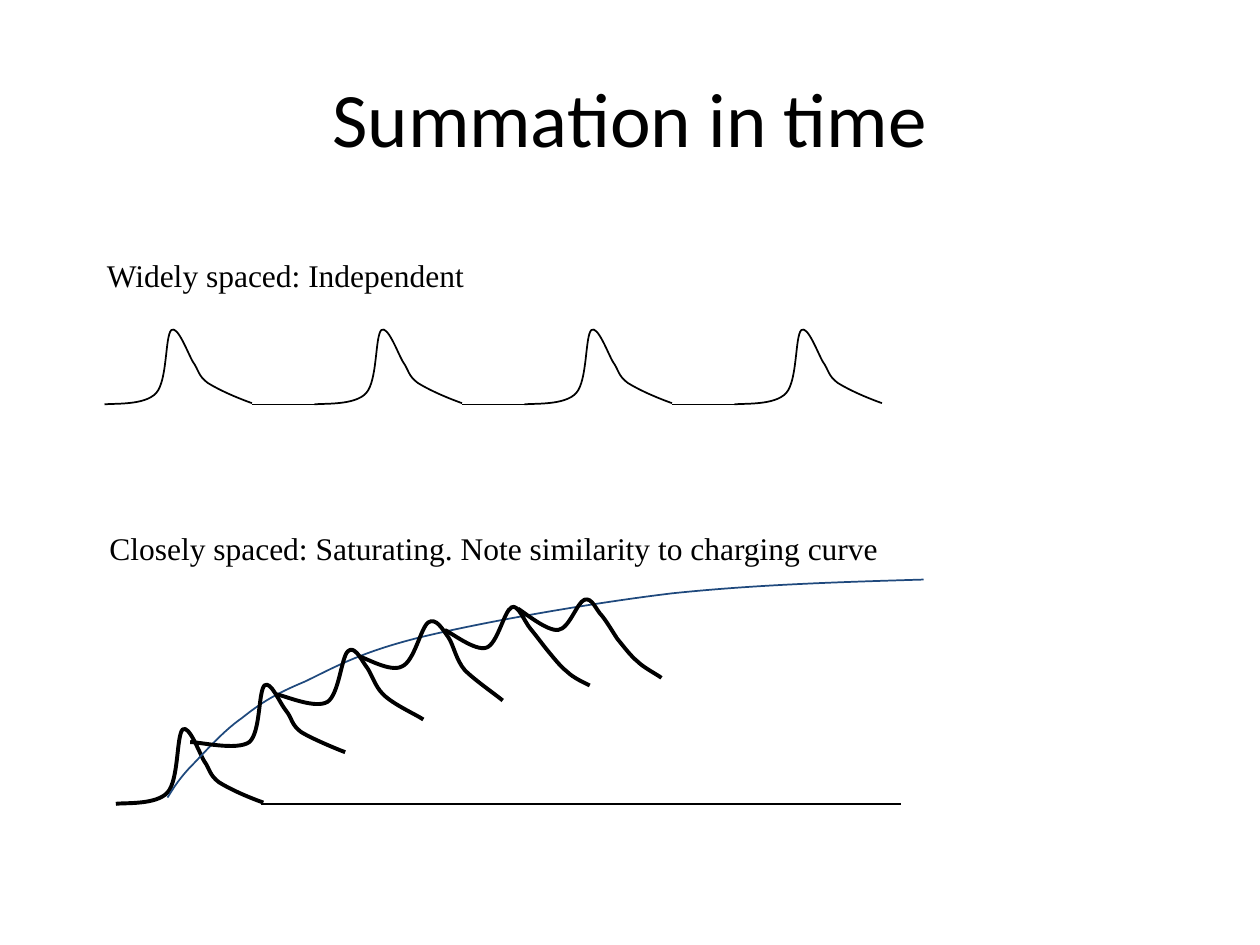
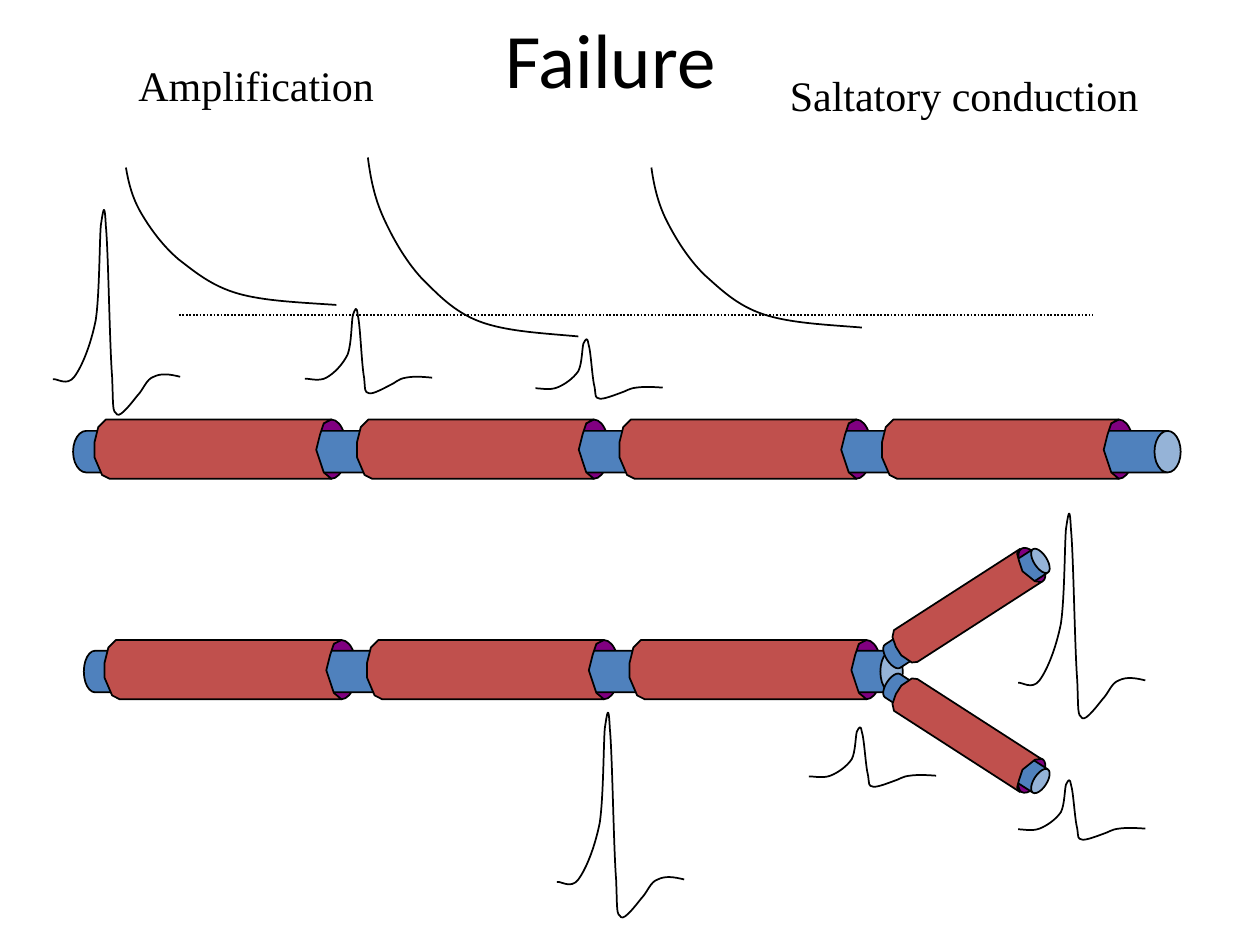
import pptx
import pptx.util
import pptx.dml.color
import pptx.enum.dml
import pptx.enum.shapes
import pptx.enum.text
import pptx.oxml.ns
import lxml.etree

RGB = pptx.dml.color.RGBColor
BLACK = RGB(0x00, 0x00, 0x00)
NAVY = RGB(0x1F, 0x49, 0x7D)
BLUE = RGB(0x4F, 0x81, 0xBD)
RED = RGB(0xC0, 0x50, 0x4D)
PURPLE = RGB(0x80, 0x00, 0x80)

KIND = pptx.enum.shapes.MSO_SHAPE
ALIGN = pptx.enum.text.PP_ALIGN
DOTS = pptx.enum.dml.MSO_LINE.ROUND_DOT
THIN, THICK = 1, 2.25

TITLE = {"name": "Calibri", "size": pptx.util.Pt(44)}
NOTE = {"name": "Times New Roman", "size": pptx.util.Pt(18)}
LABEL = {"name": "Times New Roman", "size": pptx.util.Pt(24)}

# All places below are in inches; curves list a start, then three points per bend.
PULSE = [
    (0, .63), (.07, .62), (.32, .64), (.41, .54), (.5, .44), (.48, .09), (.53, .04),
    (.58, 0), (.66, .22), (.7, .29), (.75, .36), (.74, .4), (.82, .46),
    (.9, .51), (1.03, .57), (1.17, .62),
]
SPIKE = [
    (0, 1.42), (.03, 1.41), (.11, 1.48), (.17, 1.4), (.23, 1.32), (.3, 1.15), (.34, .95),
    (.37, .75), (.37, .32), (.38, .2), (.4, .07), (.41, 0), (.42, .2),
    (.44, .4), (.45, 1.15), (.47, 1.4), (.48, 1.65), (.47, 1.67), (.51, 1.7),
    (.54, 1.72), (.63, 1.6), (.67, 1.55), (.72, 1.5), (.74, 1.42), (.8, 1.4),
    (.86, 1.37), (.93, 1.38), (1.01, 1.4),
]
DECAY = [
    (0, 0), (.02, .12), (.05, .24), (.12, .36), (.19, .48), (.29, .62), (.42, .73),
    (.55, .83), (.68, .94), (.89, 1), (1.1, 1.06), (1.38, 1.07), (1.67, 1.09),
]
SLEEVE = [
    (.12, 0), (1.88, 0), (1.82, .03), (1.79, .12), (1.76, .24), (1.79, .33), (1.82, .42),
    (1.88, .47), (.12, .47), (.06, .44), (0, .3), (0, .18), (.03, .06), (.09, 0),
]
CHARGE = [
    (1.33, 6.33), (1.37, 6.27), (1.4, 6.21), (1.5, 6.1), (1.6, 6), (1.76, 5.81), (1.92, 5.7),
    (2.07, 5.58), (2.18, 5.51), (2.42, 5.41), (2.65, 5.3), (2.85, 5.18), (3.33, 5.06),
    (3.82, 4.94), (4.67, 4.79), (5.33, 4.71), (6, 4.64), (6.67, 4.62), (7.33, 4.6),
]
CLIMB = [
    [(1.51, 5.89), (1.59, 5.89), (1.88, 5.96), (1.98, 5.89), (2.07, 5.81), (2.05, 5.49),
     (2.1, 5.44), (2.15, 5.4), (2.22, 5.58), (2.27, 5.64), (2.32, 5.7), (2.31, 5.75),
     (2.39, 5.81), (2.47, 5.86), (2.66, 5.94), (2.74, 5.97)],
    [(2.19, 5.51), (2.26, 5.52), (2.5, 5.63), (2.6, 5.57), (2.69, 5.51), (2.71, 5.22),
     (2.76, 5.17), (2.81, 5.12), (2.86, 5.22), (2.9, 5.28), (2.95, 5.34), (2.97, 5.44),
     (3.04, 5.51), (3.12, 5.59), (3.3, 5.67), (3.36, 5.71)],
    [(2.85, 5.21), (2.9, 5.22), (3.1, 5.34), (3.19, 5.29), (3.29, 5.25), (3.34, 4.98),
     (3.4, 4.94), (3.46, 4.9), (3.51, 4.99), (3.56, 5.06), (3.6, 5.12), (3.62, 5.24),
     (3.69, 5.32), (3.77, 5.4), (3.93, 5.51), (3.99, 5.56)],
    [(3.53, 5), (3.58, 5.02), (3.77, 5.17), (3.86, 5.14), (3.95, 5.11), (4, 4.85),
     (4.06, 4.82), (4.11, 4.79), (4.16, 4.93), (4.21, 4.99), (4.26, 5.05), (4.31, 5.12),
     (4.36, 5.18), (4.41, 5.24), (4.45, 5.29), (4.5, 5.33), (4.55, 5.38), (4.64, 5.42),
     (4.68, 5.44)],
    [(4.11, 4.83), (4.16, 4.86), (4.34, 5.01), (4.43, 5), (4.52, 4.99), (4.58, 4.78),
     (4.64, 4.76), (4.7, 4.74), (4.73, 4.84), (4.78, 4.89), (4.82, 4.94), (4.86, 5.01),
     (4.9, 5.07), (4.95, 5.13), (5, 5.2), (5.06, 5.25), (5.11, 5.3), (5.21, 5.35),
     (5.25, 5.38)],
]
NOTES = [
    ("Widely spaced: Independent", (.75, 1.98, 3.35, .4)),
    ("Closely spaced: Saturating. Note similarity to charging curve", (.77, 4.15, 6.87, .4)),
]
LABELS = [
    ("Amplification", (1, .42, 2.09, .5)),
    ("Saltatory conduction", (6.17, .5, 3.22, .5)),
]
# left, top, height
SPIKES = [
    (.42, 1.59, 1.72), (2.42, 2.42, .71), (4.25, 2.67, .5), (8.08, 4, 1.72),
    (6.42, 5.75, .5), (4.42, 5.58, 1.72), (8.08, 6.17, .5),
]
DECAYS = [(1, 1.33, 1.09), (2.92, 1.25, 1.42), (5.17, 1.33, 1.27)]
# left, top, sleeves, core box, core bend
AXONS = [
    (.75, 3.33, 4, (4.81, -.81, .33, 8.79), .63),
    (.83, 5.08, 3, (3.75, 2.08, .33, 6.5), .54),
]
# sleeve top, core top, tilt, mirrored
FORKS = [(4.67, 4.08, -32.8, False), (5.66, 5.07, 32.8, True)]


def inch(num):
    return pptx.util.Cm(num * 2.54)


def place(pts, left, top, wide=1, high=1):
    """Scale a template and move it to its corner."""
    return [(left + x * wide, top + y * high) for x, y in pts]


def write(slide, text, box, look, title=False):
    shape = slide.shapes.add_textbox(*map(inch, box))
    frame = shape.text_frame
    frame.word_wrap = title
    auto = pptx.enum.text.MSO_AUTO_SIZE
    frame.auto_size = auto.NONE if title else auto.SHAPE_TO_FIT_TEXT
    para = frame.paragraphs[0]
    if title:
        frame.vertical_anchor = pptx.enum.text.MSO_ANCHOR.MIDDLE
        para.alignment = ALIGN.CENTER
    run = para.add_run()
    run.text = text
    for key, val in look.items():
        setattr(run.font, key, val)
    run.font.color.rgb = BLACK


def paint(shape, fill=None, ink=BLACK, width=THIN, tilt=0):
    shape.shadow.inherit = False
    if fill is None:
        shape.fill.background()
    else:
        shape.fill.solid()
        shape.fill.fore_color.rgb = fill
    shape.line.color.rgb = ink
    shape.line.width = pptx.util.Pt(width)
    shape.rotation = tilt


def trace(shapes, pts, close):
    spots = [(inch(x), inch(y)) for x, y in pts]
    maker = shapes.build_freeform(*spots[0])
    maker.add_line_segments(spots[1:], close=close)
    return maker.convert_to_shape()


def curve(slide, pts, **look):
    """Draw an open outline whose points, by threes, make cubic bends."""
    shape = trace(slide.shapes, pts, False)
    qname = pptx.oxml.ns.qn
    route = next(shape._element.iter(qname("a:path")))
    steps = route.findall(qname("a:lnTo"))
    for num in range(0, len(steps), 3):
        bend = lxml.etree.SubElement(route, qname("a:cubicBezTo"))
        for step in steps[num:num + 3]:
            bend.append(step[0])
            route.remove(step)
    paint(shape, **look)


def rule(slide, left, right, top, dash=None):
    line = slide.shapes.add_connector(
        pptx.enum.shapes.MSO_CONNECTOR.STRAIGHT, *map(inch, (left, top, right, top)))
    line.line.color.rgb = BLACK
    line.line.width = pptx.util.Pt(THIN)
    if dash:
        line.line.dash_style = dash
    lxml.etree.SubElement(line._element.spPr, pptx.oxml.ns.qn("a:effectLst"))


def preset(shapes, kind, box, fill, tilt=0, bend=None):
    shape = shapes.add_shape(kind, *map(inch, box))
    if bend is not None:
        shape.adjustments[0] = bend
    paint(shape, fill, tilt=tilt)


def sleeve(shapes, left, top, size=1, tilt=0, flip=False):
    pts = [(x, .47 - y) for x, y in SLEEVE] if flip else SLEEVE
    paint(trace(shapes, place(pts, left, top, size, size), True), RED, tilt=tilt)


def axon(shapes, left, top, count, core, bend):
    lefts = [left + num * 25 / 12 for num in range(count)]
    for spot in lefts:
        preset(shapes, KIND.OVAL, (spot + 1.76, top, .24, .47), PURPLE)
    preset(shapes, KIND.CAN, core, BLUE, 90, bend)
    for spot in reversed(lefts):
        sleeve(shapes, spot, top)


def fork(shapes, top, core, tilt, flip):
    end = top + .34 if flip else top - .34
    preset(shapes, KIND.OVAL, (8.11, end, .16, .31), PURPLE, tilt)
    preset(shapes, KIND.CAN, (7.56, core, .22, 1.5), BLUE, 90 + tilt, .47)
    sleeve(shapes, 7.03, top, 1.25 / 1.88, tilt, flip)


def summate(slide):
    write(slide, "Summation in time", (.5, .3, 9, 1.25), TITLE, True)
    lefts = [.83 + num * 5 / 3 for num in range(4)]
    for left in lefts:
        curve(slide, place(PULSE, left, 2.58))
    for left in lefts[1:]:
        rule(slide, left - .5, left, 3.21)
    curve(slide, place(PULSE, .92, 5.75), width=THICK)
    rule(slide, 2.07, 7.15, 6.38)
    curve(slide, CHARGE, ink=NAVY)
    for pts in CLIMB:
        curve(slide, pts, width=THICK)
    for text, box in NOTES:
        write(slide, text, box, NOTE)


def fail(slide):
    write(slide, "Failure", (.5, .17, 8.69, .58), TITLE, True)
    trunk, split = [slide.shapes.add_group_shape().shapes for _ in AXONS]
    for shapes, part in zip((trunk, split), AXONS):
        axon(shapes, *part)
    for part in FORKS:
        fork(split, *part)
    for text, box in LABELS:
        write(slide, text, box, LABEL)
    for form, tall, spots in ((SPIKE, 1.72, SPIKES), (DECAY, 1.09, DECAYS)):
        for left, top, high in spots:
            curve(slide, place(form, left, top, high=high / tall))
    rule(slide, 1.42, 8.67, 2.5, DOTS)


def main():
    deck = pptx.Presentation()
    deck.slide_width, deck.slide_height = inch(10), inch(7.5)
    for draw in (summate, fail):
        draw(deck.slides.add_slide(deck.slide_layouts[6]))
    deck.save("out.pptx")


if __name__ == "__main__":
    main()
